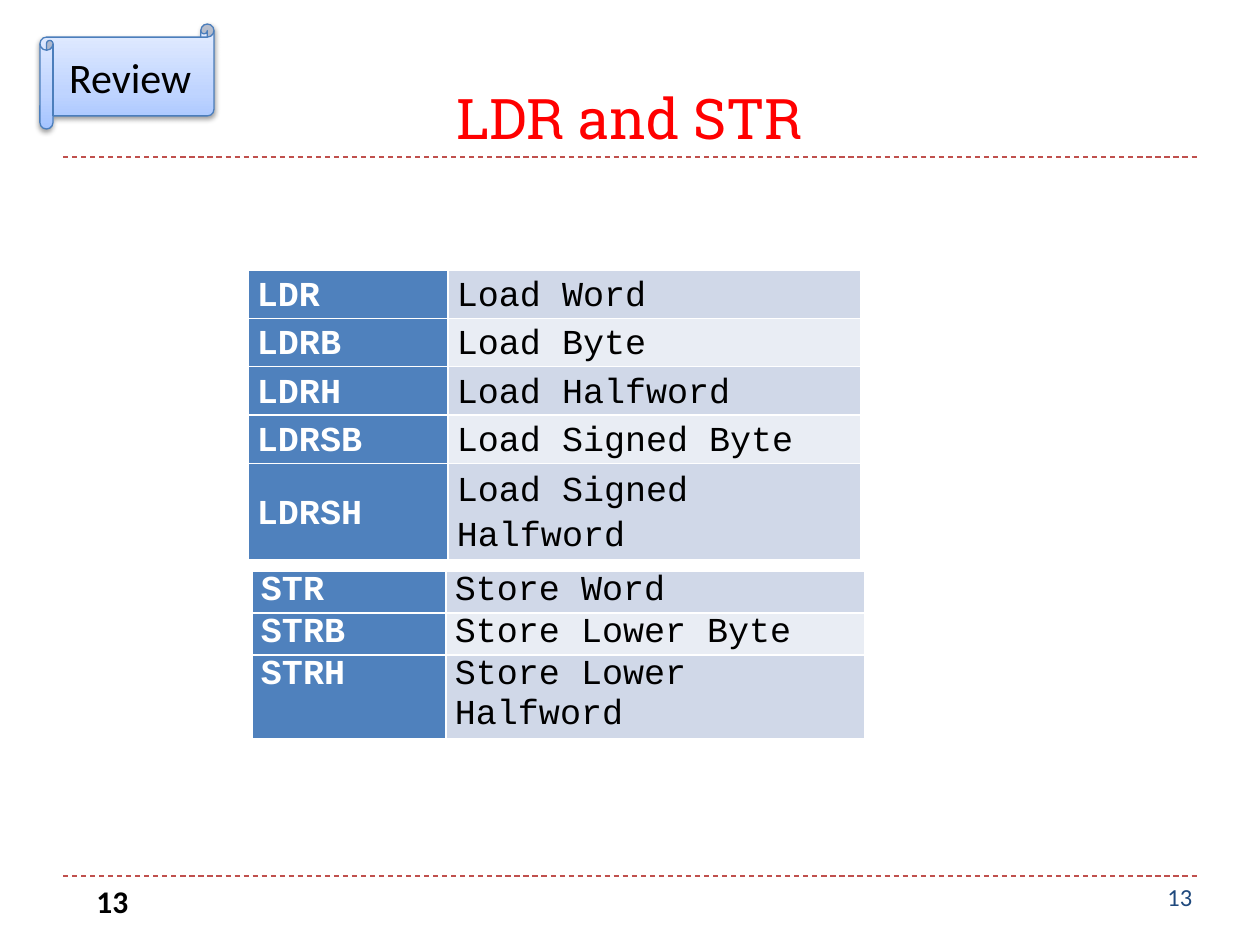
from dataclasses import dataclass

from pptx import Presentation
from pptx import util as u
from pptx.dml.color import RGBColor
from pptx.enum import dml, shapes, text
from pptx.oxml import parse_xml
from pptx.oxml.ns import nsdecls

TITLE = "LDR and STR"
BADGE = "Review"
PAGE = "13"

# Each row: mnemonic, meaning, lines of text it takes
LOADS = [
    ("LDR", "Load Word", 1),
    ("LDRB", "Load Byte", 1),
    ("LDRH", "Load Halfword", 1),
    ("LDRSB", "Load Signed Byte", 1),
    ("LDRSH", "Load Signed Halfword", 2),
]
STORES = [
    ("STR", "Store Word", 1),
    ("STRB", "Store Lower Byte", 1),
    ("STRH", "Store Lower Halfword", 2),
]
# Each table: rows, left, top, column widths, line height, line spacing, anchor
TABLES = [
    (LOADS, 248, 270, (200, 413), 45, 1.15, text.MSO_ANCHOR.MIDDLE),
    (STORES, 252, 571, (194, 419), 39, 1.0, text.MSO_ANCHOR.TOP),
]
RULES = (876, 157)


@dataclass(frozen=True)
class Theme:
    head: str = "Roboto Slab"
    body: str = "Calibri"
    code: str = "Courier New"
    red: str = "FF0000"
    rule: str = "C0504D"
    navy: str = "1F497D"
    black: str = "000000"
    white: str = "FFFFFF"
    key: str = "4F81BD"
    bands: tuple = ("D0D8E8", "E9EDF4")
    edge: str = "4B7EBC"
    fade: tuple = ((0, "A4C4FF"), (35, "BFD4FF"), (100, "E6EEFF"))
    big: int = 32
    mid: int = 24
    cell: int = 20
    foot: int = 18
    small: int = 14


T = Theme()


def px(n):
    return u.Emu(round(n * 914400 / 126))


def rgb(code):
    return RGBColor.from_string(code)


def write(frame, words, font, size, color, bold=False, align=None):
    frame.text = words
    para = frame.paragraphs[0]
    para.alignment = align
    face = para.runs[0].font
    face.name, face.size, face.bold = font, u.Pt(size), bold
    face.color.rgb = rgb(color)
    return para


def add_rule(slide, y):
    line = slide.shapes.add_connector(
        shapes.MSO_CONNECTOR.STRAIGHT, px(63), px(y), px(1197), px(y))
    line.line.color.rgb = rgb(T.rule)
    line.line.width = u.Pt(0.75)
    line.line.dash_style = dml.MSO_LINE.DASH
    line._element.spPr.append(parse_xml(f"<a:effectLst {nsdecls('a')}/>"))


def add_page(slide, x, width, size, color, bold):
    box = slide.shapes.add_textbox(px(x), px(876), px(width), px(50))
    box.text_frame.word_wrap = True
    write(box.text_frame, PAGE, T.body, size, color, bold)


def add_edges(cell):
    """Draw a thin white line on all four sides of a cell."""
    props = cell._tc.get_or_add_tcPr()
    for i, side in enumerate("LRTB"):
        props.insert(i, parse_xml(
            f'<a:ln{side} {nsdecls("a")} w="12700"><a:solidFill>'
            f'<a:srgbClr val="{T.white}"/></a:solidFill></a:ln{side}>'))


def add_grid(slide, rows, x, y, widths, high, space, anchor):
    lines = sum(row[2] for row in rows)
    grid = slide.shapes.add_table(
        len(rows), len(widths), px(x), px(y), px(sum(widths)),
        px(high * lines)).table
    grid.first_row = False
    grid.first_col = True
    for col, width in zip(grid.columns, widths):
        col.width = px(width)
    for r, (name, sense, count) in enumerate(rows):
        grid.rows[r].height = px(high * count)
        looks = [(name, T.white, T.key, True),
                 (sense, T.black, T.bands[r % 2], False)]
        for c, (words, ink, fill, bold) in enumerate(looks):
            cell = grid.cell(r, c)
            cell.fill.solid()
            cell.fill.fore_color.rgb = rgb(fill)
            cell.margin_left = cell.margin_right = px(9)
            cell.margin_top = cell.margin_bottom = 0
            cell.vertical_anchor = anchor
            para = write(cell.text_frame, words, T.code, T.cell, ink, bold)
            para.line_spacing = space
            add_edges(cell)


def add_badge(slide):
    badge = slide.shapes.add_shape(
        shapes.MSO_SHAPE.HORIZONTAL_SCROLL, px(40), px(24), px(174), px(105))
    badge.line.color.rgb = rgb(T.edge)
    badge.line.width = u.Pt(0.75)
    stops = "".join(
        f'<a:gs pos="{pos * 1000}"><a:srgbClr val="{color}"/></a:gs>'
        for pos, color in T.fade)
    props = badge._element.spPr
    props.insert(2, parse_xml(
        f'<a:gradFill {nsdecls("a")} rotWithShape="1"><a:gsLst>{stops}'
        '</a:gsLst><a:lin ang="16200000" scaled="0"/></a:gradFill>'))
    props.append(parse_xml(
        f'<a:effectLst {nsdecls("a")}><a:outerShdw blurRad="39370" '
        'dist="20320" dir="5400000" rotWithShape="0">'
        f'<a:srgbClr val="{T.black}"><a:alpha val="38000"/></a:srgbClr>'
        '</a:outerShdw></a:effectLst>'))
    frame = badge.text_frame
    frame.vertical_anchor = text.MSO_ANCHOR.MIDDLE
    write(frame, BADGE, T.body, T.mid, T.black, align=text.PP_ALIGN.CENTER)


def main():
    deck = Presentation()
    deck.slide_width, deck.slide_height = px(1260), px(945)
    slide = deck.slides.add_slide(deck.slide_layouts[5])
    for y in RULES:
        add_rule(slide, y)
    add_page(slide, 1155, 105, T.small, T.navy, False)

    title = slide.shapes.title
    title.left, title.top = px(63), px(21)
    title.width, title.height = px(1134), px(136)
    title.text_frame.vertical_anchor = text.MSO_ANCHOR.BOTTOM
    write(title.text_frame, TITLE, T.head, T.big, T.red,
          align=text.PP_ALIGN.CENTER)

    add_page(slide, 84, 273, T.foot, T.black, True)
    for grid in TABLES:
        add_grid(slide, *grid)
    add_badge(slide)
    deck.save("out.pptx")


if __name__ == "__main__":
    main()
